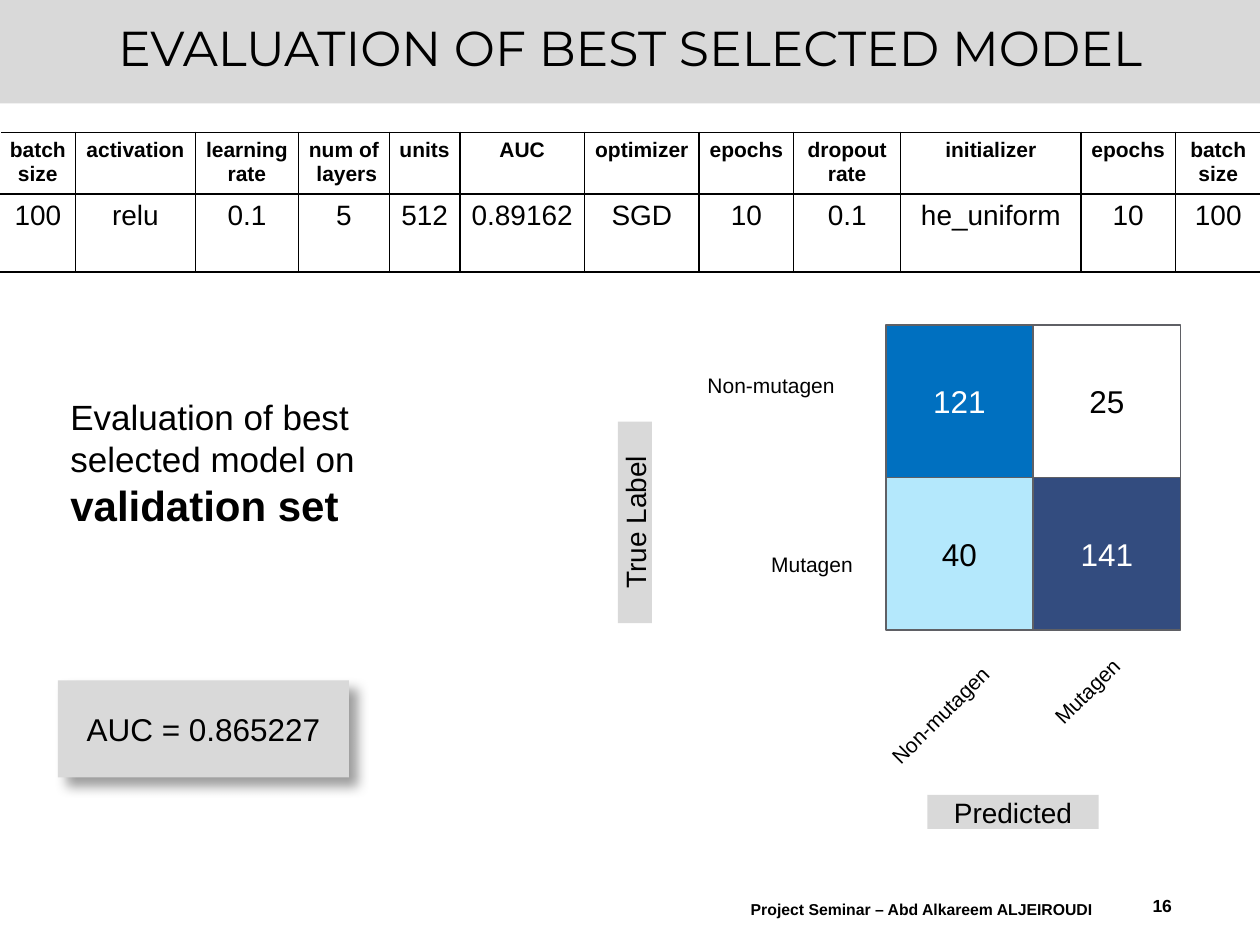
from lxml.etree import SubElement
from pptx import Presentation
from pptx.dml.color import RGBColor
from pptx.enum.shapes import MSO_SHAPE
from pptx.enum.text import MSO_ANCHOR, MSO_AUTO_SIZE, PP_ALIGN
from pptx.oxml.ns import qn
from pptx.util import Inches, Pt

BLACK, WHITE, GREY, OUTLINE = "000000", "FFFFFF", "D9D9D9", "5F6065"
CENTER, LEFT, RIGHT = PP_ALIGN.CENTER, PP_ALIGN.LEFT, PP_ALIGN.RIGHT

COLUMN_WIDTHS = [0.6, 0.95, 0.82, 0.72, 0.56, 0.99,
                 0.91, 0.75, 0.85, 1.43, 0.75, 0.68]
ROW_HEIGHTS = [0.49, 0.62]
HEADERS = ["batch\nsize", "activation", "learning\nrate", "num of\n layers",
           "units", "AUC", "optimizer", "epochs", "dropout rate",
           "initializer", "epochs", "batch size"]
SETTINGS = ["100", "relu", "0.1", "5", "512", "0.89162",
            "SGD", "10", "0.1", "he_uniform", "10", "100"]

MATRIX_LEFT, MATRIX_TOP, CELL_WIDTH, CELL_HEIGHT = 7.03, 2.58, 1.17, 1.21
# Each cell: count, fill, opacity in percent, text colour
CONFUSION = [
    [("121", "0070C0", 100, WHITE), ("25", WHITE, 100, BLACK)],
    [("40", "75D5FB", 54, BLACK), ("141", "002060", 80, WHITE)],
]


def rgb(color):
    return RGBColor.from_string(color)


def inches(*lengths):
    return [Inches(length) for length in lengths]


def add_run(paragraph, text, size, color=BLACK, bold=False, font="Arial"):
    run = paragraph.add_run()
    run.text = text
    run.font.size, run.font.bold, run.font.name = Pt(size), bold, font
    run.font.color.rgb = rgb(color)


def set_up_frame(shape, align, inset=None):
    """Centre the text vertically and return its first paragraph."""
    frame = shape.text_frame
    frame.word_wrap = True
    frame.auto_size = MSO_AUTO_SIZE.NONE
    frame.vertical_anchor = MSO_ANCHOR.MIDDLE
    if inset is not None:
        frame.margin_left = frame.margin_right = Inches(inset)
        frame.margin_top = frame.margin_bottom = Inches(inset)
    paragraph = frame.paragraphs[0]
    paragraph.alignment = align
    return paragraph


def add_text(slide, box, runs, align=LEFT, inset=None, rotation=0):
    """Add a text box; each run is (text, size, bold)."""
    text_box = slide.shapes.add_textbox(*inches(*box))
    text_box.rotation = rotation
    paragraph = set_up_frame(text_box, align, inset)
    for text, size, bold in runs:
        add_run(paragraph, text, size, bold=bold)


def add_block(slide, box, text, size, fill=GREY, opacity=100, color=BLACK,
              outline=None, inset=None, rotation=0):
    block = slide.shapes.add_shape(MSO_SHAPE.RECTANGLE, *inches(*box))
    block.rotation = rotation
    block.shadow.inherit = False
    block.fill.solid()
    block.fill.fore_color.rgb = rgb(fill)
    if opacity < 100:
        tone = block._element.spPr.find(qn("a:solidFill"))[0]
        SubElement(tone, qn("a:alpha"), val=str(opacity * 1000))
    if outline:
        block.line.color.rgb = rgb(outline)
        block.line.width = Pt(1)
    else:
        block.line.fill.background()
    add_run(set_up_frame(block, CENTER, inset), text, size, color)
    return block


def add_drop_shadow(shape):
    effects = shape._element.spPr.find(qn("a:effectLst"))
    shadow = SubElement(effects, qn("a:outerShdw"), blurRad=str(Pt(7)),
                        dist=str(Pt(7)), dir=str(45 * 60000),
                        algn="tl", rotWithShape="0")
    tone = SubElement(shadow, qn("a:srgbClr"), val=BLACK)
    SubElement(tone, qn("a:alpha"), val="39000")


def add_borders(cell, sides):
    properties = cell._tc.get_or_add_tcPr()
    for side in sides:
        line = SubElement(properties, qn(f"a:ln{side}"), w=str(Pt(1)))
        fill = SubElement(line, qn("a:solidFill"))
        SubElement(fill, qn("a:srgbClr"), val=BLACK)


def fill_cell(cell, text, size, bold, sides):
    add_borders(cell, sides)
    cell.fill.background()
    cell.margin_left = cell.margin_right = Inches(0.05)
    cell.margin_top = cell.margin_bottom = Inches(0.05)
    paragraph = cell.text_frame.paragraphs[0]
    paragraph.alignment = CENTER
    for number, line in enumerate(text.split("\n")):
        if number:
            paragraph.add_line_break()
        add_run(paragraph, line, size, bold=bold)


def add_settings_table(slide):
    last = len(HEADERS) - 1
    table = slide.shapes.add_table(
        len(ROW_HEIGHTS), len(HEADERS),
        *inches(0, 1.05, 10, sum(ROW_HEIGHTS))).table
    table.first_row = table.horz_banding = False
    for column, width in zip(table.columns, COLUMN_WIDTHS):
        column.width = Inches(width)
    for row, height in zip(table.rows, ROW_HEIGHTS):
        row.height = Inches(height)
    for row, (texts, size, bold) in enumerate(
            [(HEADERS, 12, True), (SETTINGS, 16, False)]):
        for column, text in enumerate(texts):
            sides = {0: "RTB", last: "LTB"}.get(column, "LRTB")
            fill_cell(table.cell(row, column), text, size, bold, sides)


def add_confusion_matrix(slide):
    for row, cells in enumerate(CONFUSION):
        for column, (count, fill, opacity, color) in enumerate(cells):
            box = (MATRIX_LEFT + column * CELL_WIDTH,
                   MATRIX_TOP + row * CELL_HEIGHT, CELL_WIDTH, CELL_HEIGHT)
            add_block(slide, box, count, 18, fill, opacity, color, OUTLINE)
    for label, width, places in [
            ("Non-mutagen", 1.44, [(5.4, 2.91, 0), (6.74, 5.53, 315)]),
            ("Mutagen", 0.93, [(5.98, 4.33, 0), (8.16, 5.34, 315)])]:
        for left, top, rotation in places:
            add_text(slide, (left, top, width, 0.29), [(label, 12, False)],
                     CENTER, 0, rotation)
    add_block(slide, (4.24, 4.01, 1.6, 0.27), "True Label", 16,
              inset=0, rotation=270)
    add_block(slide, (7.36, 6.31, 1.36, 0.27), "Predicted", 16, inset=0)


def add_title(slide, text):
    title = slide.shapes.title
    title.left, title.top, title.width, title.height = inches(0, 0, 10, 0.82)
    title.fill.solid()
    title.fill.fore_color.rgb = rgb(GREY)
    paragraph = set_up_frame(title, CENTER)
    paragraph.line_spacing = 0.83
    add_run(paragraph, text, 28, font="Montserrat")


def main():
    deck = Presentation()
    deck.slide_width, deck.slide_height = inches(10, 7.5)
    slide = deck.slides.add_slide(deck.slide_layouts[5])
    add_title(slide, "EVALUATION OF BEST SELECTED MODEL")
    add_settings_table(slide)
    add_confusion_matrix(slide)
    add_text(slide, (0.46, 3.06, 3.35, 1.22),
             [("Evaluation of best selected model on ", 20, False),
              ("validation set", 24, True)])
    score = add_block(slide, (0.46, 5.4, 2.31, 0.77), "AUC = 0.865227", 18)
    add_drop_shadow(score)
    add_text(slide, (5.86, 7.02, 3.38, 0.4),
             [("Project Seminar – Abd Alkareem ALJEIROUDI", 9, True)])
    add_text(slide, (8.84, 6.99, 0.56, 0.4), [("16", 10, True)], RIGHT)
    deck.save("out.pptx")


if __name__ == "__main__":
    main()
